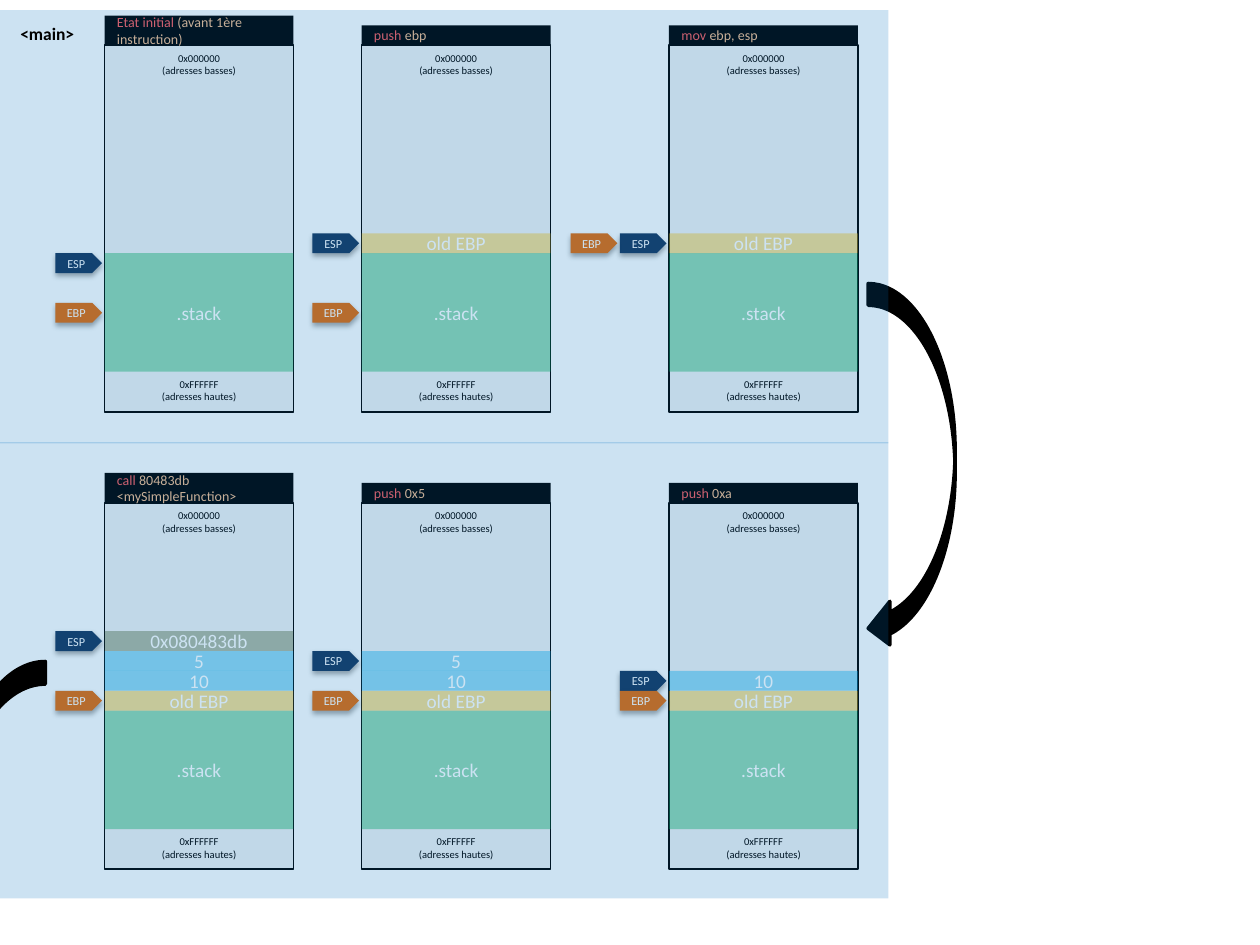
from lxml import etree
from pptx import Presentation
from pptx.dml.color import RGBColor
from pptx.enum.shapes import MSO_SHAPE
from pptx.enum.text import MSO_ANCHOR, MSO_AUTO_SIZE, PP_ALIGN
from pptx.oxml import parse_xml
from pptx.oxml.ns import nsdecls, qn
from pptx.util import Inches, Pt

RECT = MSO_SHAPE.RECTANGLE
TAG = MSO_SHAPE.PENTAGON
ARROW = MSO_SHAPE.CURVED_LEFT_ARROW
LEFT, CENTER = PP_ALIGN.LEFT, PP_ALIGN.CENTER
TOP, MIDDLE = MSO_ANCHOR.TOP, MSO_ANCHOR.MIDDLE
GROW = MSO_AUTO_SIZE.SHAPE_TO_FIT_TEXT

FONT = "Calibri"
BLACK, WHITE = "000000", "FFFFFF"
RED, SAND = "FF5D5D", "FAC090"
NAVY, RUST = "17375E", "E46C0A"
GREEN, GOLD, SKY, OLIVE = "00B050", "FFC000", "00B0F0", "4F6228"
GREY, BLUE = "F2F2F2", "0070C0"

WIDE, TALL = 1.5, 2.91      # memory panel
BASE = 1.65                 # from panel top to .stack
STACK = 0.94                # height of .stack
SLOT = 0.63 / 4             # height of one stack entry
STEP = 0.39                 # from one tag to the next
COLS = (0.83, 2.87, 5.31)
ROWS = (0.36, 3.99)

OLD = ("old EBP", GOLD)
TEN, FIVE = ("10", SKY), ("5", SKY)
BACK = ("0x080483db", OLIVE)

# column, opcode, operand, header slots, entries from the bottom up,
# then (slot level, tag column) for ESP and for EBP
FIRST = (
    (0, "Etat initial ", "(avant 1ère instruction)", 1.5, (), (0, 1), (-2.5, 1)),
    (1, "push ", "ebp", 1, (OLD,), (1, 1), (-2.5, 1)),
    (2, "mov ", "ebp, esp", 1, (OLD,), (1, 1), (1, 2)),
)
SECOND = (
    (2, "push ", "0xa", 1, (OLD, TEN), (2, 1), (1, 1)),
    (1, "push ", "0x5", 1, (OLD, TEN, FIVE), (3, 1), (1, 1)),
    (0, "call ", "80483db <mySimpleFunction>", 1.5,
     (OLD, TEN, FIVE, BACK), (4, 1), (1, 1)),
)


def color(text):
    """Turn a hex string into a colour."""
    return RGBColor.from_string(text)


def style(run, size, hue, bold=False):
    """Format one run."""
    run.font.name = FONT
    run.font.size = Pt(size)
    run.font.bold = bold
    run.font.color.rgb = color(hue)


def write(shape, lines, size, hue, bold=False, anchor=MIDDLE):
    """Put centred lines of text into a shape."""
    frame = shape.text_frame
    frame.word_wrap = True
    frame.vertical_anchor = anchor
    frame.text = "\n".join(lines)
    for para in frame.paragraphs:
        para.alignment = CENTER
        for run in para.runs:
            style(run, size, hue, bold)


def draw(slide, kind, box, hue, alpha=100, line=0):
    """Add a filled preset shape, with a black outline if line is set."""
    shape = slide.shapes.add_shape(kind, *map(Inches, box))
    shape.shadow.inherit = False
    shape.fill.solid()
    shape.fill.fore_color.rgb = color(hue)
    if alpha < 100:
        tone = shape._element.spPr.find(qn("a:solidFill"))[0]
        etree.SubElement(tone, qn("a:alpha"), val=str(alpha * 1000))
    if line:
        shape.line.color.rgb = color(BLACK)
        shape.line.width = Pt(line)
    else:
        shape.line.fill.background()
    return shape


def label(slide, left, top, lines):
    """Add a small address label."""
    box = slide.shapes.add_textbox(*map(Inches, (left, top, WIDE, 0.3)))
    write(box, lines, 6, BLACK, anchor=TOP)
    box.text_frame.auto_size = GROW


def entry(slide, left, top, high, text, hue):
    """Add a translucent block of the stack."""
    write(draw(slide, RECT, (left, top, WIDE, high), hue, 40), [text], 11, WHITE)


def tag(slide, left, top, text, hue):
    """Add a register tag with a soft shadow."""
    shape = draw(slide, TAG, (left, top, 0.37, SLOT), hue)
    write(shape, [text], 7, WHITE)
    frame = shape.text_frame
    frame.margin_left = frame.margin_right = Inches(0.04)
    frame.margin_top = frame.margin_bottom = Inches(0.04)
    shape._element.spPr.find(qn("a:effectLst")).append(parse_xml(
        f'<a:outerShdw {nsdecls("a")} blurRad="{Pt(3.1)}" dist="{Pt(1.8)}" '
        'dir="5400000" rotWithShape="0"><a:srgbClr val="000000">'
        '<a:alpha val="35000"/></a:srgbClr></a:outerShdw>'))


def header(slide, left, top, high, code, args):
    """Add the black instruction bar that ends at top."""
    bar = draw(slide, RECT, (left, top - high, WIDE, high), BLACK)
    bar.text_frame.word_wrap = True
    bar.text_frame.vertical_anchor = MIDDLE
    para = bar.text_frame.paragraphs[0]
    para.alignment = LEFT
    for text, hue in ((code, RED), (args, SAND)):
        run = para.add_run()
        run.text = text
        style(run, 8, hue)


def panel(slide, top, state):
    """Draw one state of the memory."""
    col, code, args, slots, items, esp, ebp = state
    left, base = COLS[col], top + BASE
    draw(slide, RECT, (left, top, WIDE, TALL), GREY, line=1)
    label(slide, left, top, ["0x000000", "(adresses basses)"])
    label(slide, left, base + STACK, ["0xFFFFFF", "(adresses hautes)"])
    entry(slide, left, base, STACK, ".stack", GREEN)
    for name, hue, (level, place) in (("ESP", NAVY, esp), ("EBP", RUST, ebp)):
        tag(slide, left - place * STEP, base - level * SLOT, name, hue)
    for level, (text, hue) in enumerate(items, 1):
        entry(slide, left, base - level * SLOT, SLOT, text, hue)
    header(slide, left, top, slots * SLOT, code, args)


def heading(slide):
    """Place the title above the shapes drawn so far."""
    title = slide.shapes.title
    title.left, title.top, title.width, title.height = map(
        Inches, (0, 0.13, 0.75, 0.27))
    write(title, ["<main>"], 10, BLACK, True, TOP)
    title.text_frame.auto_size = GROW
    slide.shapes._spTree.append(title._element)


def main():
    """Build the slide."""
    deck = Presentation()
    deck.slide_width, deck.slide_height = Inches(10), Inches(7.5)
    slide = deck.slides.add_slide(deck.slide_layouts[5])

    for state in FIRST:
        panel(slide, ROWS[0], state)
    draw(slide, ARROW, (6.89, 2.25, 0.69, TALL), BLACK, line=2)
    draw(slide, RECT, (0, 0.08, 7.05, 3.44), BLUE, 20)
    heading(slide)

    for state in SECOND:
        panel(slide, ROWS[1], state)
    draw(slide, RECT, (0, 3.51, 7.05, 3.62), BLUE, 20)
    out = draw(slide, ARROW, (-0.36, 5.25, 0.72, TALL), BLACK, line=2)
    out._element.spPr.find(qn("a:xfrm")).set("flipH", "1")

    deck.save("out.pptx")


main()
